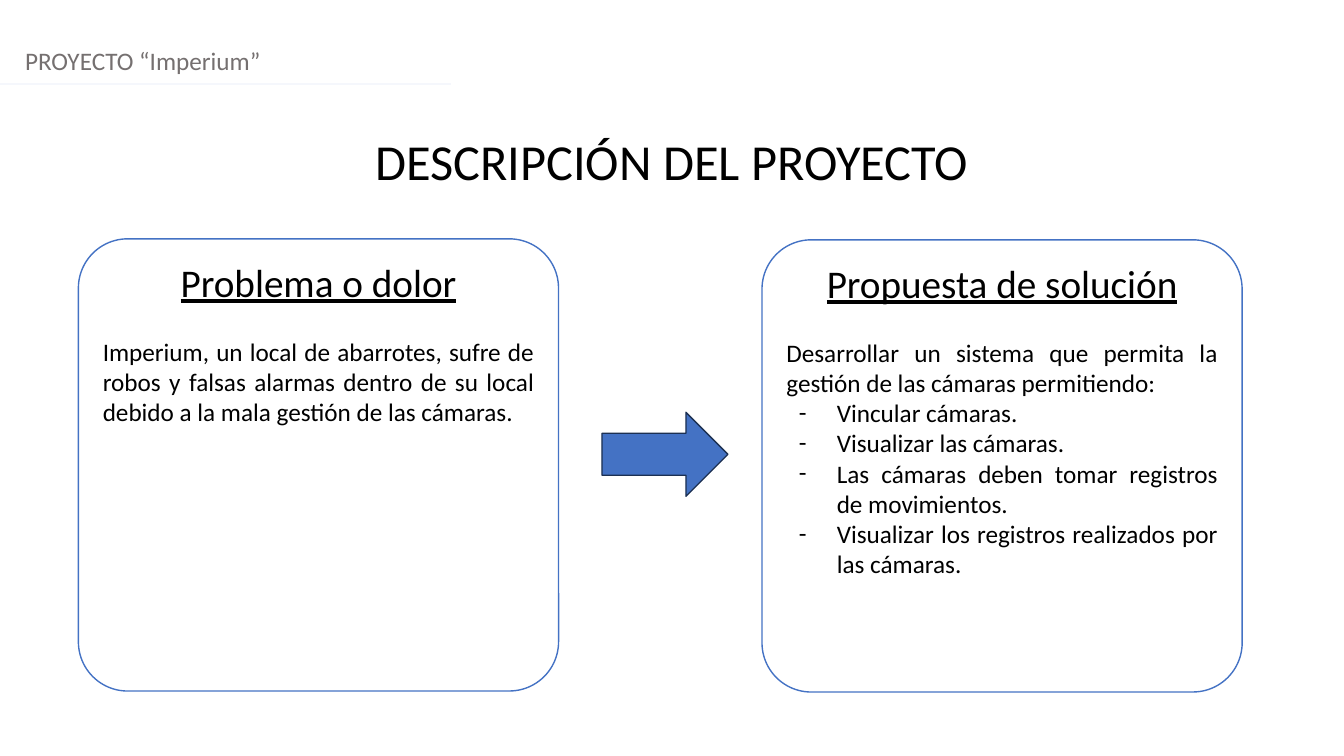
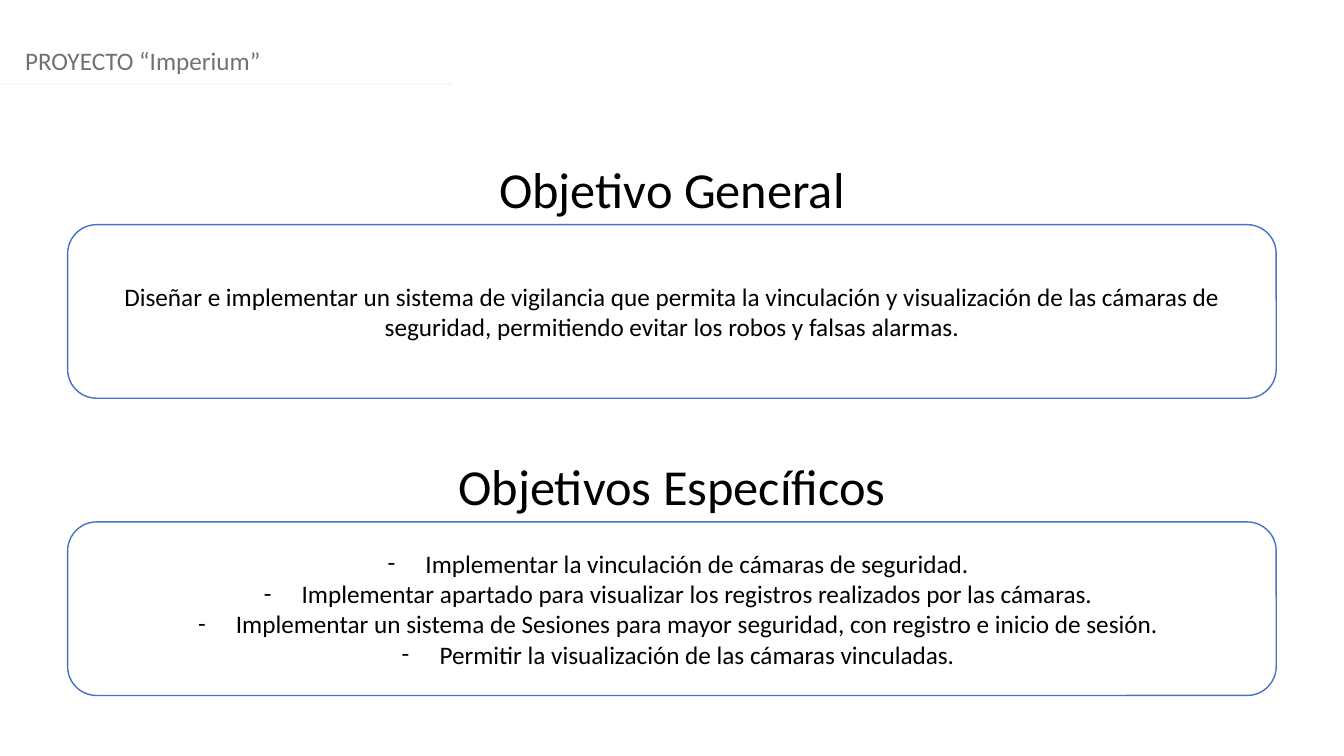
"""Builds two slides on a project: its description and its goals."""
import pptx
import pptx.util
import pptx.dml.color
import pptx.enum.shapes
import pptx.enum.text
import lxml.etree
import pptx.oxml.ns

Pt = pptx.util.Pt
RGBColor = pptx.dml.color.RGBColor
SHAPE = pptx.enum.shapes.MSO_SHAPE
ALIGN = pptx.enum.text.PP_ALIGN
ANCHOR = pptx.enum.text.MSO_ANCHOR
qn = pptx.oxml.ns.qn

BLACK = RGBColor(0x00, 0x00, 0x00)
WHITE = RGBColor(0xFF, 0xFF, 0xFF)
GRAY = RGBColor(0x75, 0x70, 0x70)
PALE = RGBColor(0xF5, 0xF7, 0xFC)
BLUE = RGBColor(0x44, 0x72, 0xC4)
NAVY = RGBColor(0x1C, 0x30, 0x52)

FONT = "Calibri"
WIDE, HIGH = 960, 540
HEADER = "PROYECTO “Imperium”"
HEAD, TEXT, DASH = "head", "text", "dash"

SLIDES = [
    {
        "titles": [("DESCRIPCIÓN DEL PROYECTO", 89.3)],
        "round": 0.109,
        "align": ALIGN.JUSTIFY,
        "anchor": ANCHOR.TOP,
        "arrow": (430, 294.5, 90, 60),
        "boxes": [
            ((56, 170.6, 343, 323), [
                (HEAD, "Problema o dolor"),
                (TEXT, "Imperium, un local de abarrotes, sufre de robos y falsas "
                       "alarmas dentro de su local debido a la mala gestión de las cámaras."),
            ]),
            ((544.3, 171.3, 343, 323), [
                (HEAD, "Propuesta de solución"),
                (TEXT, "Desarrollar un sistema que permita la gestión de las "
                       "cámaras permitiendo:"),
                (DASH, "Vincular cámaras."),
                (DASH, "Visualizar las cámaras."),
                (DASH, "Las cámaras deben tomar registros de movimientos."),
                (DASH, "Visualizar los registros realizados por las cámaras."),
            ]),
        ],
    },
    {
        "titles": [("Objetivo General", 109), ("Objetivos Específicos", 321.4)],
        "round": 0.167,
        "align": ALIGN.CENTER,
        "anchor": ANCHOR.MIDDLE,
        "arrow": None,
        "boxes": [
            ((48.3, 160.5, 863.3, 124), [
                (TEXT, "Diseñar e implementar un sistema de vigilancia que permita la "
                       "vinculación y visualización de las cámaras de seguridad, "
                       "permitiendo evitar los robos y falsas alarmas."),
            ]),
            ((48.3, 372.8, 863.3, 124), [
                (DASH, "Implementar la vinculación de cámaras de seguridad."),
                (DASH, "Implementar apartado para visualizar los registros "
                       "realizados por las cámaras."),
                (DASH, "Implementar un sistema de Sesiones para mayor seguridad, "
                       "con registro e inicio de sesión."),
                (DASH, "Permitir la visualización de las cámaras vinculadas."),
            ]),
        ],
    },
]


def place(shape, spot):
    shape.left, shape.top, shape.width, shape.height = map(Pt, spot)


def setup(shape, anchor):
    frame = shape.text_frame
    frame.word_wrap = True
    frame.auto_size = pptx.enum.text.MSO_AUTO_SIZE.NONE
    frame.vertical_anchor = anchor
    frame.margin_left = frame.margin_right = Pt(7.2)
    frame.margin_top = frame.margin_bottom = Pt(3.6)
    return frame


def write(para, text, size, color=BLACK, align=ALIGN.CENTER):
    para.alignment = align
    run = para.add_run()
    run.text = text
    run.font.name = FONT
    run.font.size = Pt(size)
    run.font.color.rgb = color
    return run


def label(shape, spot, text, size, color=BLACK, align=ALIGN.CENTER):
    place(shape, spot)
    frame = setup(shape, ANCHOR.MIDDLE)
    write(frame.paragraphs[0], text, size, color, align)


def bullet(para, char):
    props = para._p.get_or_add_pPr()
    props.set("marL", str(Pt(36 if char else 0)))
    props.set("indent", str(Pt(-27 if char else 0)))
    if char:
        lxml.etree.SubElement(props, qn("a:buFont")).set("typeface", FONT)
        lxml.etree.SubElement(props, qn("a:buChar")).set("char", char)
    else:
        lxml.etree.SubElement(props, qn("a:buNone"))


def draw(slide, kind, spot, fill, line):
    shape = slide.shapes.add_shape(kind, *map(Pt, spot))
    shape.shadow.inherit = False
    shape.fill.solid()
    shape.fill.fore_color.rgb = fill
    shape.line.color.rgb = line
    shape.line.width = Pt(1)
    return shape


def add_box(slide, body, spot, lines, page):
    panel = draw(slide, SHAPE.ROUNDED_RECTANGLE, spot, WHITE, BLUE)
    panel.adjustments[0] = page["round"]
    slide.shapes._spTree.insert(2, panel._element)
    left, top, width, height = spot
    inset = round(0.29 * page["round"] * min(width, height), 2)
    place(body, (left + inset, top + inset, width - 2 * inset, height - 2 * inset))
    frame = setup(body, page["anchor"])
    for index, (kind, text) in enumerate(lines):
        para = frame.add_paragraph() if index else frame.paragraphs[0]
        head = kind == HEAD
        para.space_before = Pt(0)
        para.space_after = Pt(22 if head else 0)
        bullet(para, "-" if kind == DASH else None)
        run = write(para, text, 28 if head else 18,
                    align=ALIGN.CENTER if head else page["align"])
        if head:
            run.font.underline = True


def add_header(slide):
    box = slide.shapes.add_textbox(0, 0, 0, 0)
    label(box, (10.8, 29, 940, 29), HEADER, 18, GRAY, ALIGN.LEFT)
    rule = slide.shapes.add_connector(
        pptx.enum.shapes.MSO_CONNECTOR.STRAIGHT, 0, Pt(60), Pt(322), Pt(60))
    rule.line.color.rgb = PALE
    rule.line.width = Pt(1.25)
    lxml.etree.SubElement(rule._element.spPr, qn("a:effectLst"))


def add_page(deck, page):
    slide = deck.slides.add_slide(deck.slide_layouts.get_by_name("Two Content"))
    add_header(slide)
    for index, (text, top) in enumerate(page["titles"]):
        shape = slide.shapes.add_textbox(0, 0, 0, 0) if index else slide.shapes.title
        label(shape, (0, top, WIDE, 51), text, 36)
    for index, (spot, lines) in enumerate(page["boxes"], 1):
        add_box(slide, slide.placeholders[index], spot, lines, page)
    if page["arrow"]:
        draw(slide, SHAPE.RIGHT_ARROW, page["arrow"], BLUE, NAVY)
    for part in list(slide.placeholders):
        if part.placeholder_format.idx > 2:
            part._element.getparent().remove(part._element)


def main():
    deck = pptx.Presentation()
    deck.slide_width, deck.slide_height = Pt(WIDE), Pt(HIGH)
    for page in SLIDES:
        add_page(deck, page)
    deck.save("out.pptx")


if __name__ == "__main__":
    main()
